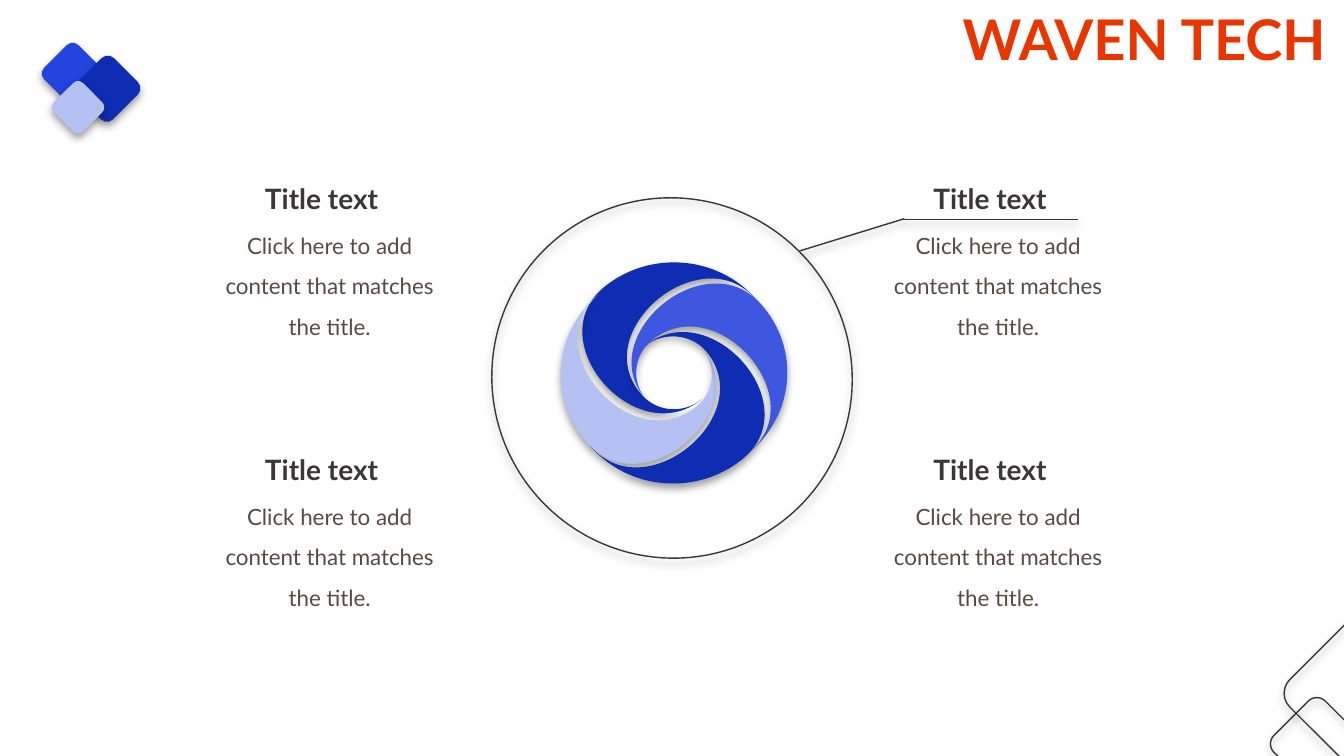
from pptx import Presentation
from pptx.dml.color import RGBColor
from pptx.enum.shapes import MSO_CONNECTOR, MSO_SHAPE
from pptx.enum.text import MSO_AUTO_SIZE, PP_ALIGN
from pptx.oxml import parse_xml
from pptx.oxml.ns import nsdecls, qn
from pptx.util import Inches, Pt

STRAIGHT = MSO_CONNECTOR.STRAIGHT
ROUND, OVAL = MSO_SHAPE.ROUNDED_RECTANGLE, MSO_SHAPE.OVAL
LEFT, CENTER = PP_ALIGN.LEFT, PP_ALIGN.CENTER
GROW = MSO_AUTO_SIZE.SHAPE_TO_FIT_TEXT
INK, BROWN, ORANGE = "393737", "594A42", "E93601"
ROYAL, NAVY, PALE, VIOLET = "2345DF", "0E2DB2", "B5C1F2", "3E57DE"

deck = Presentation()
deck.slide_width, deck.slide_height = Inches(13.33), Inches(7.5)
slide = deck.slides.add_slide(deck.slide_layouts[6])
shapes = slide.shapes


def finish(shape, fill=None, line=None):
    """Set fill, outline and the soft shadow that falls straight down."""
    if fill:
        shape.fill.solid()
        shape.fill.fore_color.rgb = RGBColor.from_string(fill)
    elif hasattr(shape, "fill"):
        shape.fill.background()
    if line:
        shape.line.color.rgb = RGBColor.from_string(line)
        shape.line.width = Pt(1)
    else:
        shape.line.fill.background()
    shape._element.spPr.append(parse_xml(
        f'<a:effectLst {nsdecls("a")}>'
        f'<a:outerShdw blurRad="{Pt(6)}" dist="{Pt(3)}" dir="5400000" '
        'algn="t" rotWithShape="0"><a:srgbClr val="000000">'
        '<a:alpha val="39000"/></a:srgbClr></a:outerShdw></a:effectLst>'))


def write(text, box, size, color, bold=False, align=LEFT, space=None, wrap=True):
    frame = shapes.add_textbox(*map(Inches, box)).text_frame
    frame.word_wrap = wrap
    frame.auto_size = GROW
    par = frame.paragraphs[0]
    par.alignment, par.line_spacing = align, space
    run = par.add_run()
    run.text = text
    run.font.name, run.font.size, run.font.bold = "Lato", Pt(size), bold
    run.font.color.rgb = RGBColor.from_string(color)


# Corner diamonds: left, top, width, height, fill, line
diamonds = [
    (0.48, 0.49, 0.48, 0.48, ROYAL, None),
    (0.81, 0.62, 0.51, 0.52, NAVY, None),
    (0.57, 0.86, 0.41, 0.41, PALE, None),
    (12.7, 7.02, 0.72, 0.72, None, INK),
    (12.9, 6.29, 1.16, 1.17, None, INK),
]
for *box, fill, line in diamonds:
    diamond = shapes.add_shape(ROUND, *map(Inches, box))
    diamond.rotation = 45
    finish(diamond, fill, line)

write("WAVEN TECH", (9.45, 0, 3.89, 0.77), 40, ORANGE, bold=True)

# Swirl: each blade is a start point and four cubic curves
blades = [
    (NAVY, [(7.5, 2.97), (7.12, 2.53), (6.44, 2.48), (5.99, 2.85),
            (5.34, 3.39), (6.32, 4.49), (6.96, 3.96),
            (6.78, 4.11), (6.51, 4.09), (6.36, 3.91),
            (5.82, 3.29), (6.95, 2.34), (7.5, 2.97)]),
    (VIOLET, [(7.43, 4.49), (7.88, 4.12), (7.94, 3.46), (7.55, 3.02),
              (7, 2.39), (5.86, 3.34), (6.41, 3.97),
              (6.26, 3.79), (6.28, 3.53), (6.46, 3.38),
              (7.1, 2.85), (8.08, 3.95), (7.43, 4.49)]),
    (PALE, [(5.94, 2.92), (5.49, 3.29), (5.43, 3.95), (5.82, 4.39),
            (6.37, 5.03), (7.5, 4.07), (6.96, 3.45),
            (7.11, 3.62), (7.09, 3.89), (6.91, 4.03),
            (6.27, 4.56), (5.29, 3.46), (5.94, 2.92)]),
    (NAVY, [(5.86, 4.43), (6.24, 4.87), (6.92, 4.92), (7.37, 4.55),
            (8.02, 4.01), (7.04, 2.91), (6.4, 3.43),
            (6.58, 3.29), (6.85, 3.31), (7, 3.48),
            (7.54, 4.11), (6.41, 5.06), (5.86, 4.43)]),
]
for fill, (start, *rest) in blades:
    form = shapes.build_freeform(*map(Inches, start))
    form.add_line_segments([tuple(map(Inches, dot)) for dot in rest], close=True)
    blade = form.convert_to_shape()
    # Every three straight segments become one cubic curve
    lines = list(blade._element.iter(qn("a:lnTo")))
    for first in range(0, len(rest), 3):
        curve = parse_xml(f'<a:cubicBezTo {nsdecls("a")}/>')
        lines[first].addprevious(curve)
        for line in lines[first:first + 3]:
            curve.append(line[0])
            line.getparent().remove(line)
    finish(blade, fill)

# Four captions on a two by two grid
for x in (8.6, 1.97):
    for y in (1.75, 4.44):
        write("Title text", (x + 0.56, y, 1.46, 0.44), 20, INK, bold=True, wrap=False)
        write("Click here to add content that matches the title.",
              (x, y + 0.37, 2.6, 1.31), 16, BROWN, align=CENTER, space=1.5)

ring = shapes.add_shape(OVAL, Inches(4.87), Inches(1.97), Inches(3.59), Inches(3.56))
ring.rotation = 45
finish(ring, line=INK)

# Callout from the ring to the top right title
for ends in [(7.93, 2.49, 8.97, 2.17), (8.96, 2.18, 10.69, 2.18)]:
    finish(shapes.add_connector(STRAIGHT, *map(Inches, ends)), line=INK)

deck.save("out.pptx")
